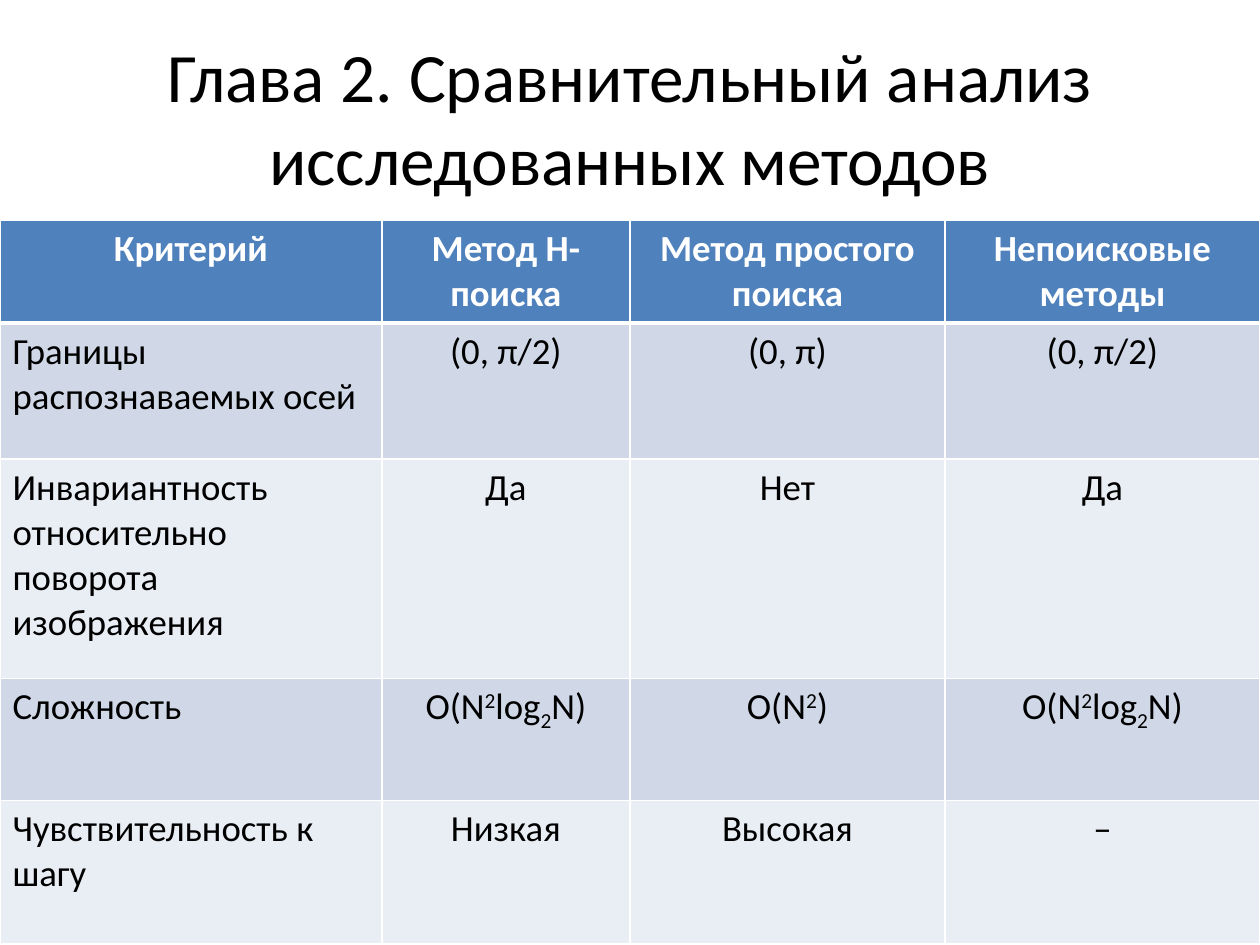
"""Build a slide comparing the studied methods in a table."""
import typing

import lxml.etree
import pptx
import pptx.dml.color
import pptx.enum.text
import pptx.oxml.ns
import pptx.util

FONT = "Calibri"
SLIDE_WIDTH, SLIDE_HEIGHT = 10, 7.5
COLUMN_SHARES = (0.303, 0.197, 0.25, 0.25)
ROW_HEIGHTS = (0.8, 1.08, 1.74, 0.97, 1.14)
BASELINES = {"²": ("2", 30000), "₂": ("2", -25000)}
CENTER = pptx.enum.text.PP_ALIGN.CENTER
LEFT = pptx.enum.text.PP_ALIGN.LEFT


class RowStyle(typing.NamedTuple):
    """Look of one table row."""

    fill: str
    text: str
    bold: bool
    label_align: typing.Any
    bottom_line: float


class Criterion(typing.NamedTuple):
    """One criterion and its value for each method."""

    label: str
    h_search: str
    simple_search: str
    non_search: str


HEADER = RowStyle("4F81BD", "FFFFFF", True, CENTER, 3)
BANDS = (
    RowStyle("D0D8E8", "000000", False, LEFT, 1),
    RowStyle("E9EDF4", "000000", False, LEFT, 1),
)
ROWS = (
    Criterion("Критерий", "Метод Н-поиска", "Метод простого поиска", "Непоисковые методы"),
    Criterion("Границы распознаваемых осей", "(0, π/2)", "(0, π)", "(0, π/2)"),
    Criterion("Инвариантность относительно поворота изображения", "Да", "Нет", "Да"),
    Criterion("Сложность", "O(N²log₂N)", "O(N²)", "O(N²log₂N)"),
    Criterion("Чувствительность к шагу", "Низкая", "Высокая", "–"),
)


def color(value: str) -> pptx.dml.color.RGBColor:
    """Turn a hex string into a colour."""
    return pptx.dml.color.RGBColor.from_string(value)


def format_run(run, size: float, text_color: str, bold: bool = False) -> None:
    """Apply the slide's font to a run."""
    run.font.name = FONT
    run.font.size = pptx.util.Pt(size)
    run.font.bold = bold
    run.font.color.rgb = color(text_color)


def split_baselines(text: str) -> list[tuple[str, int]]:
    """Split text into pieces with their baseline shifts."""
    pieces = [("", 0)]
    for character in text:
        if character in BASELINES:
            pieces += [BASELINES[character], ("", 0)]
        else:
            pieces[-1] = (pieces[-1][0] + character, 0)
    return [piece for piece in pieces if piece[0]]


def add_border(cell, side: str, width: float) -> None:
    """Draw a white border on one side of a cell."""
    qn = pptx.oxml.ns.qn
    properties = cell._tc.get_or_add_tcPr()
    line = lxml.etree.SubElement(properties, qn(f"a:ln{side}"), w=str(pptx.util.Pt(width)))
    fill = lxml.etree.SubElement(line, qn("a:solidFill"))
    lxml.etree.SubElement(fill, qn("a:srgbClr"), val="FFFFFF")


def fill_cell(cell, text: str, style: RowStyle, align, top_line: float) -> None:
    """Write and format one table cell."""
    paragraph = cell.text_frame.paragraphs[0]
    paragraph.alignment = align
    for piece, baseline in split_baselines(text):
        run = paragraph.add_run()
        run.text = piece
        format_run(run, 21, style.text, style.bold)
        if baseline:
            run.font._element.set("baseline", str(baseline))
    for side, width in zip("LRTB", (1, 1, top_line, style.bottom_line)):
        add_border(cell, side, width)
    cell.fill.solid()
    cell.fill.fore_color.rgb = color(style.fill)


def add_title(slide, text: str) -> None:
    """Place and format the slide title."""
    title = slide.shapes.title
    title.left, title.top, title.width, title.height = map(
        pptx.util.Inches, (0.05 * SLIDE_WIDTH, 0.04 * SLIDE_HEIGHT, 0.9 * SLIDE_WIDTH, 1.25)
    )
    frame = title.text_frame
    frame.text = text
    frame.word_wrap = True
    frame.auto_size = pptx.enum.text.MSO_AUTO_SIZE.NONE
    frame.vertical_anchor = pptx.enum.text.MSO_ANCHOR.MIDDLE
    frame.paragraphs[0].alignment = CENTER
    format_run(frame.paragraphs[0].runs[0], 39.6, "000000")


def add_comparison(slide) -> None:
    """Add the table of criteria and methods."""
    table = slide.shapes.add_table(
        len(ROWS), len(COLUMN_SHARES), 0, pptx.util.Inches(1.75),
        pptx.util.Inches(SLIDE_WIDTH), pptx.util.Inches(sum(ROW_HEIGHTS)),
    ).table
    for column, share in zip(table.columns, COLUMN_SHARES):
        column.width = pptx.util.Inches(share * SLIDE_WIDTH)
    top_line = 1
    for index, (criterion, height) in enumerate(zip(ROWS, ROW_HEIGHTS)):
        table.rows[index].height = pptx.util.Inches(height)
        style = BANDS[(index - 1) % 2] if index else HEADER
        for position, text in enumerate(criterion):
            align = CENTER if position else style.label_align
            fill_cell(table.cell(index, position), text, style, align, top_line)
        top_line = style.bottom_line


def main() -> None:
    """Create and save the presentation."""
    presentation = pptx.Presentation()
    presentation.slide_width = pptx.util.Inches(SLIDE_WIDTH)
    presentation.slide_height = pptx.util.Inches(SLIDE_HEIGHT)
    slide = presentation.slides.add_slide(presentation.slide_layouts.get_by_name("Title Only"))
    add_title(slide, "Глава 2. Сравнительный анализ исследованных методов")
    add_comparison(slide)
    presentation.save("out.pptx")


if __name__ == "__main__":
    main()
